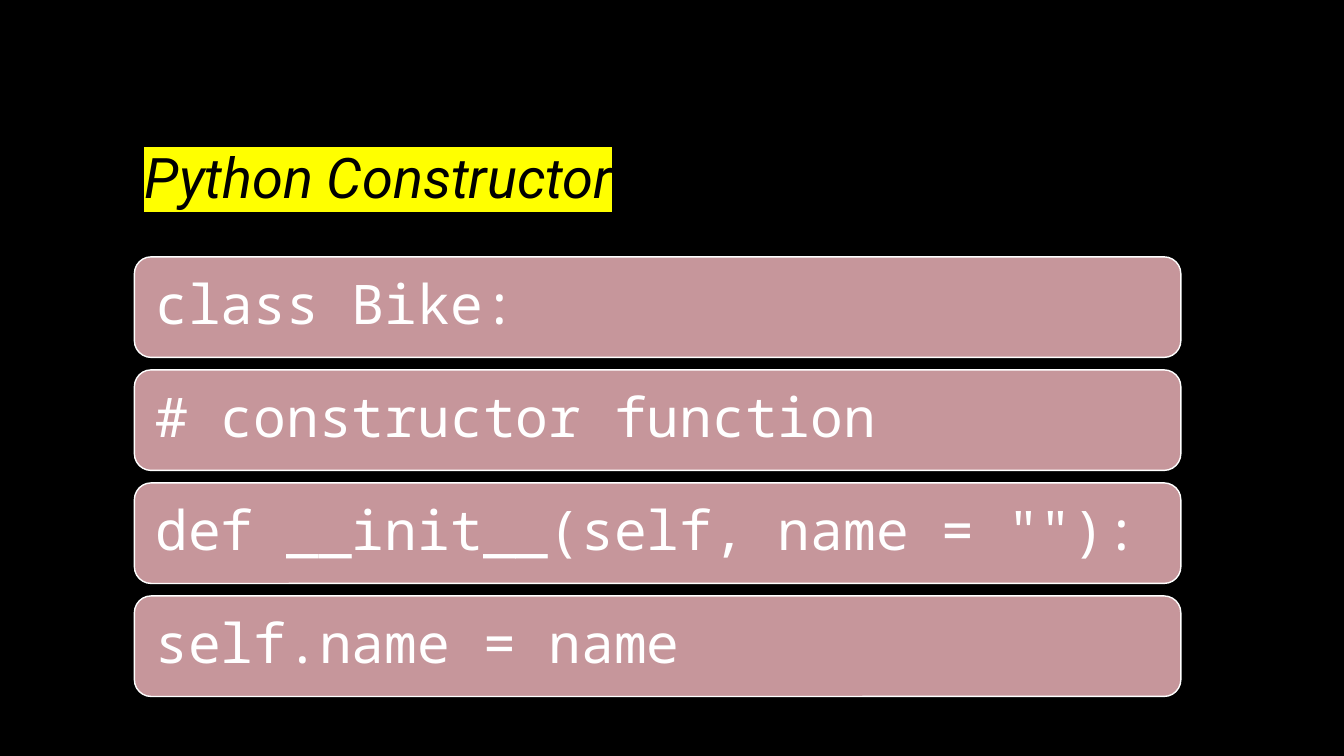
from lxml import etree
from pptx import Presentation
from pptx.dml.color import RGBColor
from pptx.enum.shapes import MSO_SHAPE
from pptx.enum.text import MSO_ANCHOR, PP_ALIGN
from pptx.oxml.ns import qn
from pptx.util import Pt

ROUNDED = MSO_SHAPE.ROUNDED_RECTANGLE
MIDDLE, BOTTOM = MSO_ANCHOR.MIDDLE, MSO_ANCHOR.BOTTOM
LEFT = PP_ALIGN.LEFT

COLOURS = {
    "background": "000000",
    "heading": "000000",
    "highlight": "FFFF00",
    "bar": "C6969B",
    "code": "FFFFFF",
}
CODE_LINES = [
    "class Bike:",
    "# constructor function",
    'def __init__(self, name = ""):',
    "self.name = name",
]


def colour(key):
    """Return the palette colour stored under key."""
    return RGBColor.from_string(COLOURS[key])


def style_paragraph(paragraph, font_name, size, colour_key, spacing):
    """Set the font, alignment and line spacing of a paragraph."""
    paragraph.alignment = LEFT
    paragraph.line_spacing = spacing
    paragraph.font.name = font_name
    paragraph.font.size = Pt(size)
    paragraph.font.color.rgb = colour(colour_key)


def add_heading(slide, wording, left, top, width, height):
    """Place the highlighted heading in the title placeholder."""
    heading = slide.shapes.title
    heading.left, heading.top = Pt(left), Pt(top)
    heading.width, heading.height = Pt(width), Pt(height)
    heading.text_frame.vertical_anchor = BOTTOM
    paragraph = heading.text_frame.paragraphs[0]
    style_paragraph(paragraph, "Roboto", 40, "heading", 1.2)
    paragraph.font.italic = True
    run = paragraph.add_run()
    run.text = wording
    properties = run.font._element
    highlight = etree.SubElement(properties, qn("a:highlight"))
    etree.SubElement(highlight, qn("a:srgbClr"), val=COLOURS["highlight"])


def add_code_bars(slide, lines, left, top, width, height, gap):
    """Stack one rounded bar per code line, filling the given box."""
    bar_height = (height - gap * (len(lines) - 1)) / len(lines)
    for index, line in enumerate(lines):
        bar_top = top + index * (bar_height + gap)
        bar = slide.shapes.add_shape(
            ROUNDED, Pt(left), Pt(bar_top), Pt(width), Pt(bar_height))
        bar.shadow.inherit = False
        bar.fill.solid()
        bar.fill.fore_color.rgb = colour("bar")
        bar.line.color.rgb = colour("code")
        bar.line.width = Pt(1)
        frame = bar.text_frame
        frame.word_wrap = True
        frame.vertical_anchor = MIDDLE
        frame.margin_left = frame.margin_right = Pt(11.5)
        frame.text = line
        style_paragraph(frame.paragraphs[0], "Noto Sans Mono", 39, "code", 0.9)


def build_code_slide(presentation):
    """Add the black slide with its heading and code bars."""
    slide = presentation.slides.add_slide(presentation.slide_layouts[5])
    slide.background.fill.solid()
    slide.background.fill.fore_color.rgb = colour("background")
    add_heading(slide, "Python Constructor", 96, 29, 747.5, 124.5)
    add_code_bars(slide, CODE_LINES, 96, 183.5, 747.5, 314, 8.9)


def main():
    """Build and save the presentation."""
    presentation = Presentation()
    presentation.slide_width, presentation.slide_height = Pt(960), Pt(540)
    build_code_slide(presentation)
    presentation.save("out.pptx")


if __name__ == "__main__":
    main()
